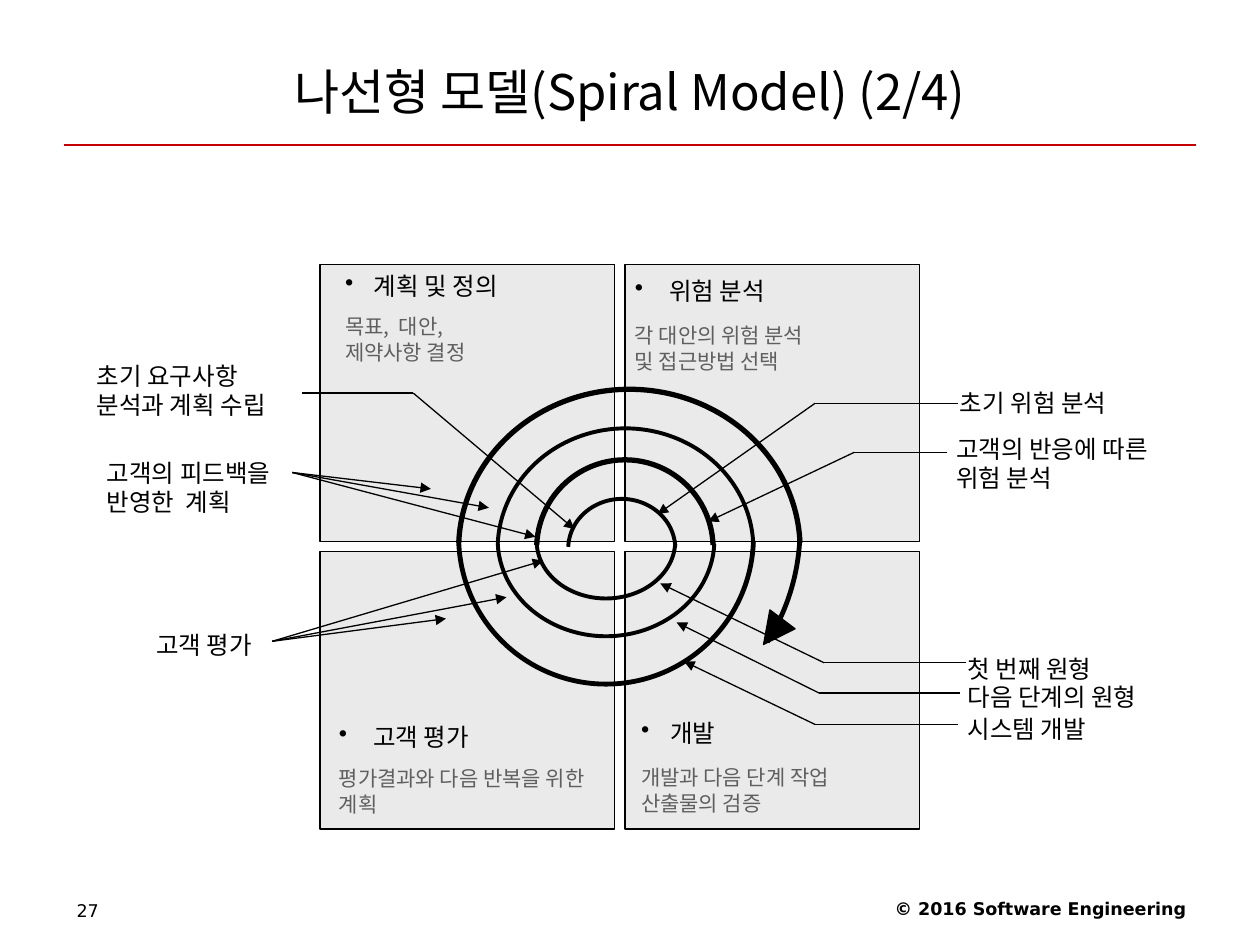
"""Builds the spiral model slide: four quadrants, a spiral and its callouts."""
from dataclasses import dataclass

from lxml import etree
from pptx import Presentation
from pptx import util as u
from pptx.dml.color import RGBColor
from pptx.enum import shapes, text
from pptx.oxml import ns

KOREAN, LATIN = "Noto Sans CJK KR", "DejaVu Sans"
BLACK, GREY, PANEL, RED = "000000", "5F5F5F", "EAEAEA", "C40000"
HEADING = {"size": u.Pt(14), "name": KOREAN}
DETAIL = {"size": u.Pt(12), "name": KOREAN}
TITLE = {"size": u.Pt(28), "name": KOREAN}
FOOTER = {"size": u.Pt(10), "name": LATIN}
HEADING_PITCH, DETAIL_PITCH = 16.6, 14.9
ADJUSTMENT_PER_DEGREE = 0.6
UPPER, LOWER = (182, 358), (2, 178)


@dataclass
class Box:
    left: float
    top: float
    width: float
    height: float


@dataclass
class Quadrant:
    heading: str
    details: list[str]
    box: Box
    gap: float


@dataclass
class Callout:
    lines: list[str]
    box: Box


@dataclass
class Arc:
    box: Box
    sweep: tuple[float, float]
    weight: float


@dataclass
class Leader:
    points: list[tuple[float, float]]


QUADRANTS = [
    Quadrant("계획 및 정의", ["목표,  대안,", "제약사항 결정"], Box(2.64, 2.13, 1.64, 0.79), 6.8),
    Quadrant(" 위험 분석", ["각 대안의 위험 분석", "및 접근방법 선택"], Box(4.94, 2.15, 2.01, 0.86), 9.3),
    Quadrant(" 고객 평가", ["평가결과와 다음 반복을 위한 계획"], Box(2.59, 5.69, 2.19, 0.84), 7.5),
    Quadrant("개발", ["개발과 다음 단계 작업", "산출물의 검증"], Box(4.99, 5.66, 2.13, 0.86), 9.3),
]
CALLOUTS = [
    Callout(["초기 요구사항", "분석과 계획 수립"], Box(0.67, 2.88, 1.73, 0.44)),
    Callout(["고객의 피드백을 반영한  계획"], Box(0.75, 3.75, 1.76, 0.24)),
    Callout(["고객 평가"], Box(1.14, 5.01, 1.19, 0.21)),
    Callout(["초기 위험 분석"], Box(7.52, 3.04, 1.67, 0.31)),
    Callout(["고객의 반응에 따른 위험 분석"], Box(7.49, 3.61, 1.95, 0.14)),
    Callout(["첫 번째 원형"], Box(7.58, 5.17, 2.35, 0.27)),
    Callout(["다음 단계의 원형"], Box(7.58, 5.41, 2.42, 0.24)),
    Callout(["시스템 개발"], Box(7.58, 5.67, 1.32, 0.23)),
]
SPIRAL = [
    Arc(Box(4.51, 3.96, 0.85, 0.79), UPPER, 2.25),
    Arc(Box(4.26, 3.84, 1.1, 0.91), LOWER, 2.25),
    Arc(Box(4.26, 3.65, 1.4, 1.4), UPPER, 3),
    Arc(Box(3.95, 3.52, 1.72, 1.53), LOWER, 2.25),
    Arc(Box(3.95, 3.4, 2.03, 1.91), UPPER, 2.25),
    Arc(Box(3.64, 3.09, 2.34, 2.34), LOWER, 2.75),
    Arc(Box(3.64, 3.09, 2.71, 2.53), UPPER, 3),
    Arc(Box(3.02, 2.53, 3.33, 3.34), (2.5, 32.5), 2.75),
]
EVALUATION, FEEDBACK = (2.16, 5.09), (2.32, 3.75)
LEADERS = [
    *[Leader([EVALUATION, tip]) for tip in [(4.02, 4.74), (3.54, 4.91), (4.31, 4.45)]],
    *[Leader([FEEDBACK, tip]) for tip in [(4.25, 4.26), (3.88, 4.03), (3.42, 3.88)]],
    Leader([(2.4, 3.12), (3.28, 3.12), (4.56, 4.2)]),
    Leader([(7.67, 5.26), (6.54, 5.26), (5.24, 4.63)]),
    Leader([(7.62, 5.5), (6.5, 5.5), (5.37, 4.94)]),
    Leader([(7.6, 5.75), (6.47, 5.75), (5.43, 5.25)]),
    Leader([(7.52, 3.59), (6.78, 3.59), (5.62, 4.14)]),
    Leader([(7.6, 3.2), (6.47, 3.2), (5.22, 4.08)]),
]


def paint(color_format, hex_color: str) -> None:
    color_format.rgb = RGBColor.from_string(hex_color)


def place(box: Box) -> list[int]:
    return [u.Inches(side) for side in (box.left, box.top, box.width, box.height)]


def add_preset(slide, preset, box: Box, fill: str | None, weight: float = 0.75):
    shape = slide.shapes.add_shape(preset, *place(box))
    shape.shadow.inherit = False
    if fill:
        shape.fill.solid()
        paint(shape.fill.fore_color, fill)
    else:
        shape.fill.background()
    paint(shape.line.color, BLACK)
    shape.line.width = u.Pt(weight)
    return shape


def add_frame(slide, box: Box, anchor=text.MSO_ANCHOR.MIDDLE):
    frame = slide.shapes.add_textbox(*place(box)).text_frame
    frame.word_wrap = True
    frame.vertical_anchor = anchor
    return frame


def write(paragraph, words: str, font: dict, color: str = BLACK, **layout) -> None:
    for key, value in layout.items():
        setattr(paragraph, key, value)
    run = paragraph.add_run()
    run.text = words
    for key, value in font.items():
        setattr(run.font, key, value)
    paint(run.font.color, color)
    east_asian = etree.SubElement(run.font._element, ns.qn("a:ea"))
    east_asian.set("typeface", font["name"])


def add_bullet(paragraph) -> None:
    properties = paragraph._p.get_or_add_pPr()
    properties.set("marL", str(u.Inches(0.23)))
    properties.set("indent", str(-u.Inches(0.23)))
    etree.SubElement(properties, ns.qn("a:buChar")).set("char", "•")


def add_quadrant(slide, quadrant: Quadrant) -> None:
    frame = add_frame(slide, quadrant.box)
    heading = frame.paragraphs[0]
    add_bullet(heading)
    write(heading, quadrant.heading, HEADING, line_spacing=u.Pt(HEADING_PITCH))
    for index, detail in enumerate(quadrant.details):
        write(frame.add_paragraph(), detail, DETAIL, GREY, line_spacing=u.Pt(DETAIL_PITCH),
              space_before=u.Pt(0 if index else quadrant.gap))


def add_callout(slide, callout: Callout) -> None:
    frame = add_frame(slide, callout.box)
    for index, line in enumerate(callout.lines):
        paragraph = frame.add_paragraph() if index else frame.paragraphs[0]
        write(paragraph, line, HEADING, line_spacing=u.Pt(HEADING_PITCH))


def add_arc(slide, arc: Arc) -> None:
    curve = add_preset(slide, shapes.MSO_SHAPE.ARC, arc.box, None, arc.weight)
    for index, degrees in enumerate(arc.sweep):
        curve.adjustments[index] = degrees * ADJUSTMENT_PER_DEGREE


def add_line(slide, start: tuple, end: tuple, color: str = BLACK, arrow: bool = False) -> None:
    ends = [u.Inches(value) for value in (*start, *end)]
    line = slide.shapes.add_connector(shapes.MSO_CONNECTOR.STRAIGHT, *ends)
    paint(line.line.color, color)
    line.line.width = u.Pt(0.75)
    if arrow:
        etree.SubElement(line.line._get_or_add_ln(), ns.qn("a:tailEnd")).set("type", "triangle")
    etree.SubElement(line._element.spPr, ns.qn("a:effectLst"))


def add_leader(slide, leader: Leader) -> None:
    for start, end in zip(leader.points, leader.points[1:]):
        add_line(slide, start, end, arrow=end == leader.points[-1])


def main() -> None:
    deck = Presentation()
    deck.slide_width, deck.slide_height = u.Inches(10), u.Inches(7.5)
    slide = deck.slides.add_slide(deck.slide_layouts[6])
    add_line(slide, (0.51, 1.15), (9.49, 1.15), RED)
    top = text.MSO_ANCHOR.TOP
    copyright_line = add_frame(slide, Box(6.34, 7.08, 3.17, 0.29), top).paragraphs[0]
    write(copyright_line, "© 2016 Software Engineering", {**FOOTER, "bold": True},
          alignment=text.PP_ALIGN.RIGHT)
    write(add_frame(slide, Box(0.51, 7.09, 2.33, 0.28), top).paragraphs[0], "27", FOOTER)
    for row in range(2):
        for column in range(2):
            panel = Box(2.54 + 2.42 * column, 2.1 + 2.28 * row, 2.34, 2.2)
            add_preset(slide, shapes.MSO_SHAPE.RECTANGLE, panel, PANEL)
    for items, draw in [(SPIRAL, add_arc), (QUADRANTS, add_quadrant),
                        (CALLOUTS, add_callout), (LEADERS, add_leader)]:
        for item in items:
            draw(slide, item)
    spiral_head = add_preset(slide, shapes.MSO_SHAPE.ISOSCELES_TRIANGLE,
                             Box(6.01, 4.89, 0.25, 0.25), BLACK)
    spiral_head.rotation = 217
    write(add_frame(slide, Box(0.5, 0.3, 9, 0.85)).paragraphs[0],
          "나선형 모델(Spiral Model) (2/4)", TITLE, alignment=text.PP_ALIGN.CENTER)
    deck.save("out.pptx")


if __name__ == "__main__":
    main()
